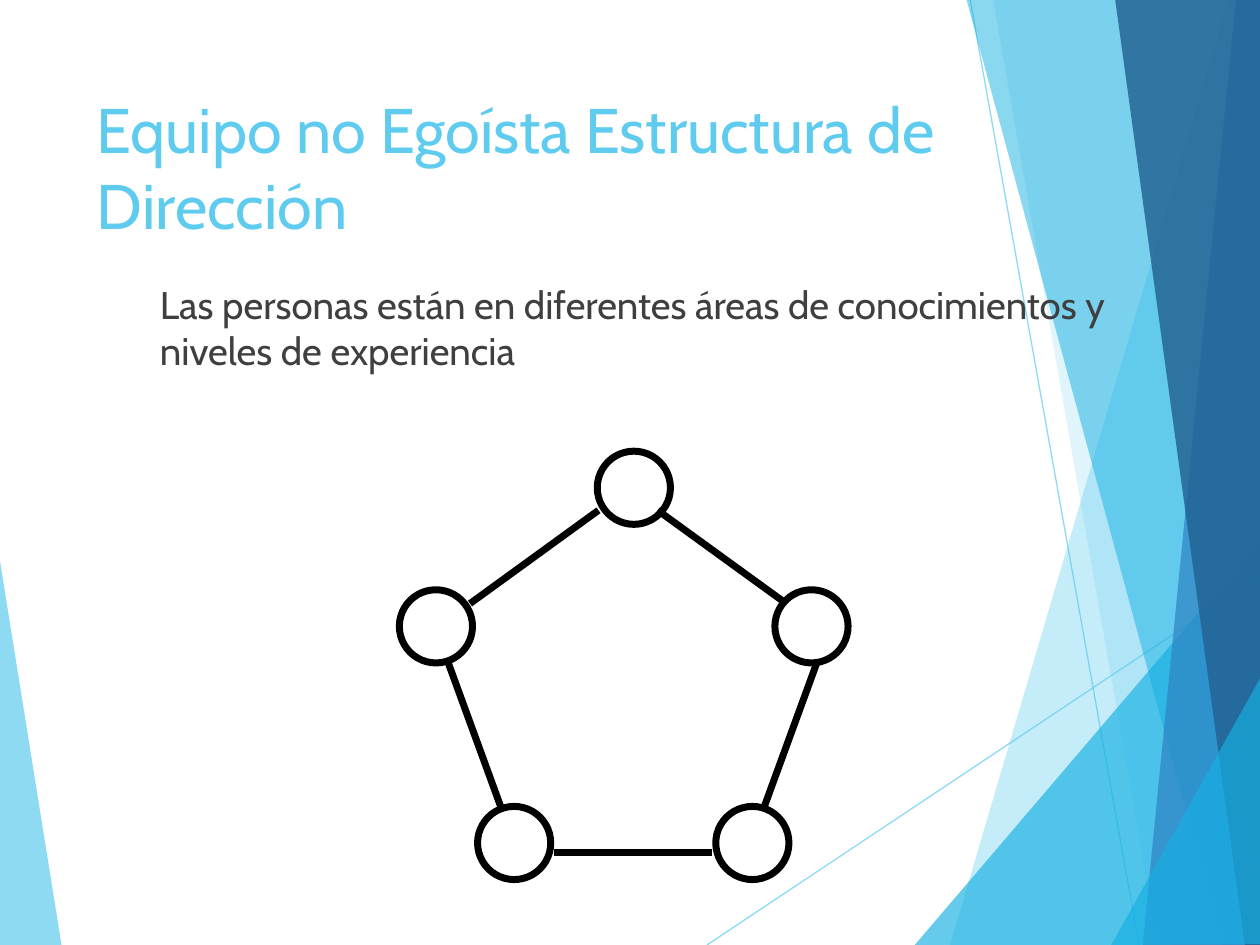
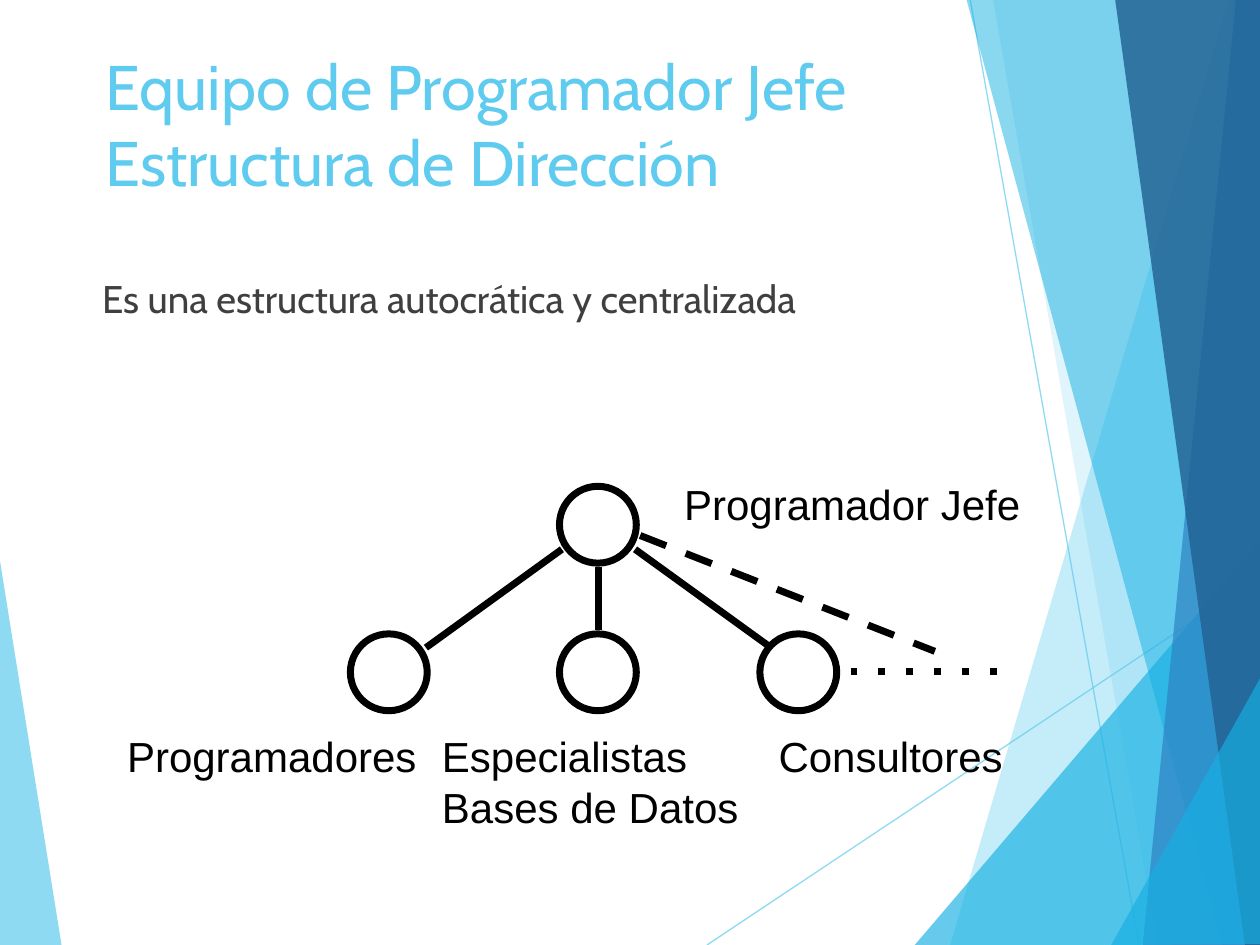
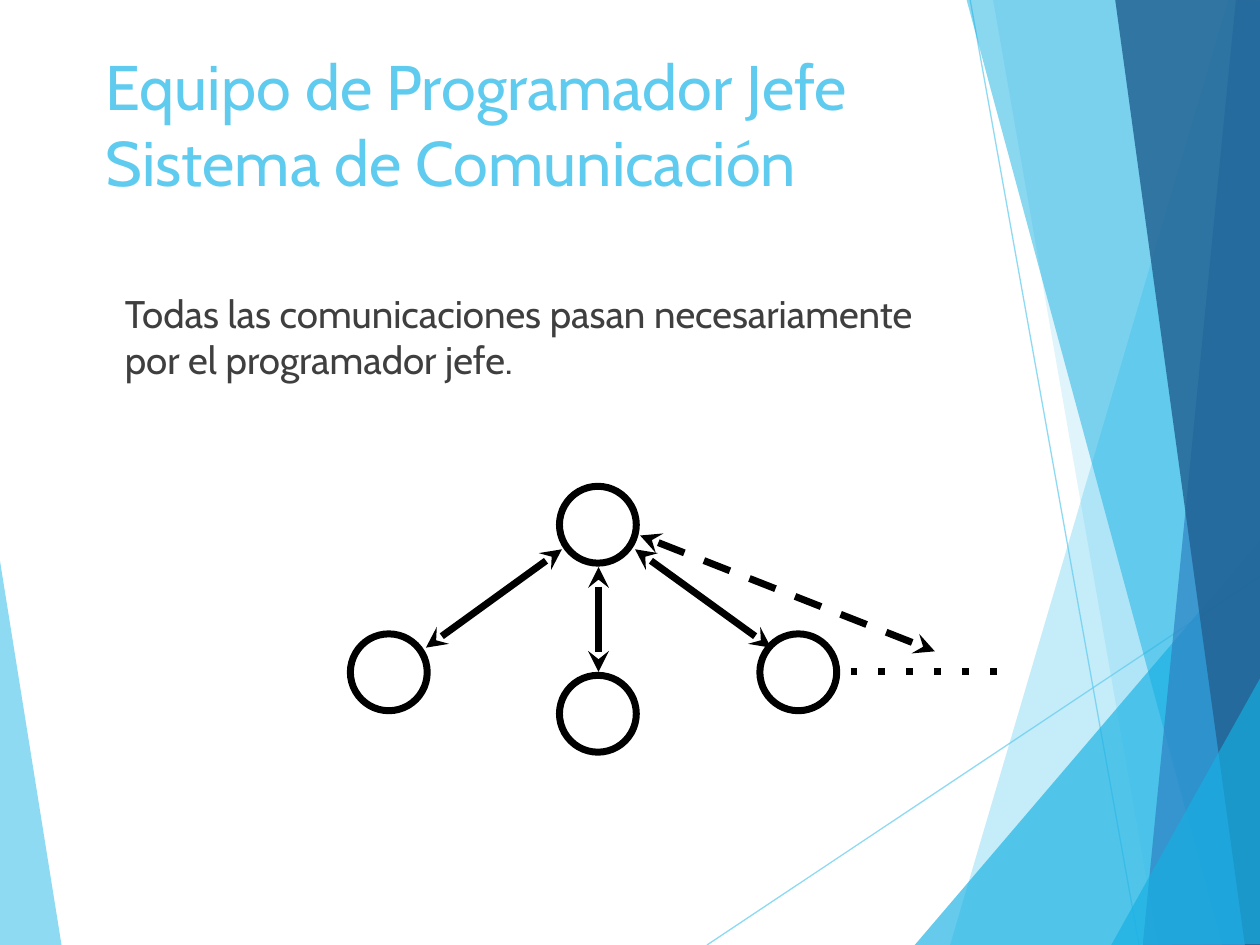
from pptx import Presentation
from pptx.dml.color import RGBColor
from pptx.enum import shapes, text
from pptx.oxml import ns
from pptx.oxml.xmlchemy import OxmlElement
from pptx.util import Pt

SKY = RGBColor(0x5F, 0xCB, 0xEF)
CYAN = RGBColor(0x16, 0xB0, 0xE3)
BLUE = RGBColor(0x2E, 0x83, 0xC3)
NAVY = RGBColor(0x22, 0x62, 0x92)
GRAY = RGBColor(0x3F, 0x3F, 0x3F)
BLACK = RGBColor(0, 0, 0)

WIDTH, HEIGHT = 720, 540
HEAVY = 4

WEDGE = ([(-0.7, 316), (35.3, 540.7), (-0.7, 540)], SKY, 70)
RAYS = [(404, 540, 720.7, 329), (554.4, 0, 650.9, 540)]
BANDS = [
    ([(702, 0), (542.9, 540), (721.4, 540.7), (720.7, 0.7)], SKY, 36),
    ([(567.4, -0.7), (661.7, 540), (720.7, 540), (720.7, -0.7)], SKY, 20),
    ([(522.7, 540), (720, 308.9), (720.7, 540)], CYAN, 66),
    ([(552.2, -0.7), (698.4, 540), (720.7, 539.3), (720.7, -0.7)], CYAN, 50),
    ([(706.3, -0.7), (653, 540), (720.7, 540), (720, -0.7)], BLUE, 70),
    ([(637.2, -0.7), (711.4, 540), (721.4, 540), (720, -0.7)], NAVY, 82),
    ([(635, 540), (721.4, 385.2), (721.4, 539.3)], CYAN, 66),
]

PEERS = [(341.3, 257.8), (442.8, 337), (228.2, 337), (409, 460.8), (272.9, 460.8)]
LINKS = [
    (316.8, 487.4, 406.8, 487.4),
    (255.6, 377.3, 286.6, 462.2),
    (268.6, 344.9, 342, 291.6),
    (467.3, 377.3, 436.3, 462.2),
    (449.3, 344.9, 375.8, 291.6),
]
LABELS = [
    ("Programador Jefe", 383.8, 270, 257.8, 36),
    ("Programadores", 65.5, 414, 198, 36),
    ("Especialistas Bases de Datos", 245.5, 414, 192.2, 64.8),
    ("Consultores", 437.8, 414, 180, 36),
]


def add_mark(parent, tag, **attrs):
    mark = OxmlElement(tag)
    for key, value in attrs.items():
        mark.set(key, value)
    parent.append(mark)


def fade(item, alpha):
    for color in item.element.spPr.iter(ns.qn("a:srgbClr")):
        add_mark(color, "a:alpha", val=str(alpha * 1000))


def add_band(host, points, color, alpha):
    start, *rest = [(Pt(x), Pt(y)) for x, y in points]
    pen = host.build_freeform(*start)
    pen.add_line_segments(rest, close=True)
    band = pen.convert_to_shape()
    band.shadow.inherit = False
    band.fill.solid()
    band.fill.fore_color.rgb = color
    band.line.fill.background()
    fade(band, alpha)
    return band


def add_line(host, ends, color=BLACK, width=HEAVY, dash=None, arrows=False):
    line = host.add_connector(shapes.MSO_CONNECTOR.STRAIGHT, *map(Pt, ends))
    line.line.color.rgb = color
    line.line.width = Pt(width)
    stroke = line.element.spPr.find(ns.qn("a:ln"))
    if dash:
        add_mark(stroke, "a:prstDash", val=dash)
    if arrows:
        add_mark(stroke, "a:headEnd", type="stealth")
        add_mark(stroke, "a:tailEnd", type="stealth")
    add_mark(line.element.spPr, "a:effectLst")
    return line


def add_ring(host, left, top, size):
    ring = host.add_shape(shapes.MSO_SHAPE.OVAL, Pt(left), Pt(top), Pt(size), Pt(size))
    ring.shadow.inherit = False
    ring.fill.background()
    ring.line.color.rgb = BLACK
    ring.line.width = Pt(HEAVY)


def write(para, words, font, size, color):
    for index, part in enumerate(words.split("\n")):
        if index:
            para.add_line_break()
        run = para.add_run()
        run.text = part
        run.font.name = font
        run.font.size = Pt(size)
        run.font.color.rgb = color


def add_label(host, words, left, top, width, height):
    label = host.add_textbox(Pt(left), Pt(top), Pt(width), Pt(height))
    frame = label.text_frame
    frame.word_wrap = True
    frame.auto_size = text.MSO_AUTO_SIZE.SHAPE_TO_FIT_TEXT
    write(frame.paragraphs[0], words, "Arial", 24, BLACK)


def fill_holder(holder, words, box, size, color):
    holder.left, holder.top, holder.width, holder.height = map(Pt, box)
    frame = holder.text_frame
    frame.word_wrap = True
    frame.auto_size = text.MSO_AUTO_SIZE.NONE
    frame.vertical_anchor = text.MSO_ANCHOR.TOP
    para = frame.paragraphs[0]
    para.alignment = text.PP_ALIGN.LEFT
    para.space_before = Pt(0)
    write(para, words, "Cabin", size, color)
    return para


def add_slide(deck, title, body, spot, head=(53.3, 23.8, 640.8, 113)):
    slide = deck.slides.add_slide(deck.slide_layouts[1])
    fill_holder(slide.shapes.title, title, head, 36, SKY)
    para = fill_holder(slide.placeholders[1], body, spot, 22, GRAY)
    props = para._p.get_or_add_pPr()
    props.set("marL", "0")
    props.set("indent", "0")
    add_mark(props, "a:buNone")
    return slide


def dress(layout, slide):
    host = slide.shapes
    decor = [add_band(host, *WEDGE)]
    for ends in RAYS:
        ray = add_line(host, ends, SKY, 0.75)
        fade(ray, 70)
        decor.append(ray)
    decor += [add_band(host, *band) for band in BANDS]
    tree = layout.element.cSld.spTree
    for index, item in enumerate(decor):
        item.element.xpath(".//p:cNvPr")[0].set("id", str(100 + index))
        tree.insert(2 + index, item.element)


def draw_peers(slide):
    host = slide.shapes.add_group_shape().shapes
    for left, top in PEERS:
        add_ring(host, left, top, 41.8)
    for ends in LINKS:
        add_line(host, ends)


def draw_chief(slide, middle, arrows):
    host = slide.shapes
    for left, top in [(319.7, 277.9), (434.2, 362.2), (200.2, 362.2), (319.7, middle)]:
        add_ring(host, left, top, 43.9)
    for ends in [
        (243.4, 370.1, 321.1, 313.9),
        (440.6, 370.1, 362.9, 313.9),
        (342, 324, 342, middle - 2),
    ]:
        add_line(host, ends, arrows=arrows)
    add_line(host, (486, 383.8, 576, 383.8), dash="dot")
    add_line(host, (365.8, 306, 534.2, 372.2), dash="dash", arrows=arrows)


def main():
    deck = Presentation()
    deck.slide_width, deck.slide_height = Pt(WIDTH), Pt(HEIGHT)

    peers = add_slide(
        deck,
        "Equipo no Egoísta Estructura de Dirección",
        "Las personas están en diferentes áreas de conocimientos y niveles de experiencia",
        (84.2, 157, 587.5, 324),
        (48.2, 48.2, 499.7, 103.7),
    )
    dress(deck.slide_layouts[1], peers)
    draw_peers(peers)

    chief = add_slide(
        deck,
        "Equipo de Programador Jefe\nEstructura de Dirección",
        "Es una estructura autocrática y centralizada",
        (51.1, 153.4, 499.7, 305.3),
    )
    draw_chief(chief, 362.2, False)
    for label in LABELS:
        add_label(chief.shapes, *label)

    talk = add_slide(
        deck,
        "Equipo de Programador Jefe\nSistema de Comunicación",
        "Todas las comunicaciones pasan necesariamente por el programador jefe.",
        (64.1, 162, 499.7, 305.3),
    )
    draw_chief(talk, 385.9, True)

    deck.save("out.pptx")


if __name__ == "__main__":
    main()
